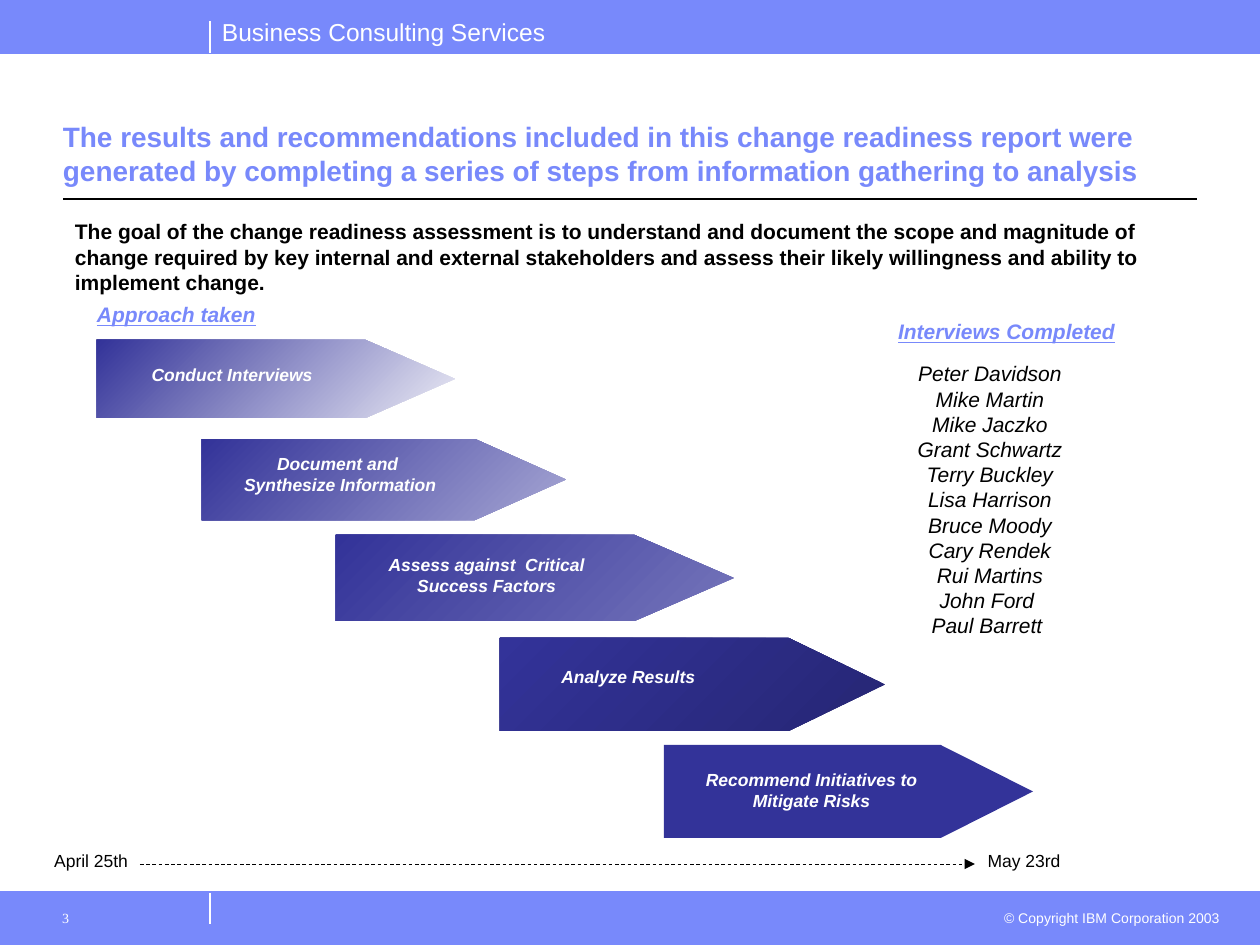
"""Builds the change readiness approach slide with its five steps and interview list."""
from dataclasses import dataclass

from lxml.etree import SubElement
from pptx import Presentation
from pptx.dml.color import RGBColor
from pptx.enum.dml import MSO_LINE
from pptx.enum.shapes import MSO_CONNECTOR, MSO_SHAPE
from pptx.enum.text import MSO_ANCHOR, MSO_AUTO_SIZE, PP_ALIGN
from pptx.oxml.ns import qn
from pptx.util import Pt

PX = 914400 / 126
WIDTH, HEIGHT, BAND = 1260, 945, 53
TIP_SHARE = 0.25
GRADIENT_ANGLE = 135


@dataclass
class Style:
    size: int
    color: str
    bold: bool = False
    italic: bool = False
    underline: bool = False
    font: str = "Arial"
    align: PP_ALIGN = PP_ALIGN.LEFT
    anchor: MSO_ANCHOR = MSO_ANCHOR.TOP
    margins: tuple = (13, 6, 13, 6)
    wrap: bool = True
    grow: bool = True
    spacing: float = 1.0


class Theme:
    periwinkle, navy, white, black = "7889FB", "333399", "FFFFFF", "000000"
    banner = Style(14, white, wrap=False)
    copyright = Style(8, white, align=PP_ALIGN.RIGHT)
    page = Style(8, white, font="Times New Roman", margins=(20, 9, 13, 6), grow=False)
    title = Style(16, periwinkle, bold=True, anchor=MSO_ANCHOR.BOTTOM,
                  margins=(0, 6, 0, 6), grow=False)
    goal = Style(12, black, bold=True)
    heading = Style(12, periwinkle, bold=True, italic=True, underline=True,
                    margins=(6, 6, 6, 6), grow=False, spacing=1.04)
    step = Style(10, white, bold=True, italic=True, align=PP_ALIGN.CENTER)
    names = Style(12, black, italic=True, align=PP_ALIGN.CENTER, wrap=False)
    date = Style(10, black, align=PP_ALIGN.CENTER, wrap=False)


INTERVIEWEES = [
    "Peter Davidson", "Mike Martin", "Mike Jaczko", "Grant Schwartz", "Terry Buckley",
    "Lisa Harrison", "Bruce Moody", "Cary Rendek", "Rui Martins", "John Ford ", "Paul Barrett ",
]

STEPS = [
    (["Conduct Interviews"], (97, 340, 358, 78), (91, 358, 282, 34), "EBEBF5"),
    (["Document and ", "Synthesize Information"],
     (202, 439, 364, 81), (222, 447, 236, 55), "A6A6D3"),
    (["Assess against  Critical Success Factors"],
     (336, 535, 398, 86), (354, 548, 265, 55), "7575BA"),
    (["Analyze Results "], (500, 638, 385, 93), (533, 660, 195, 34), "262674"),
    (["Recommend Initiatives to Mitigate Risks"],
     (664, 745, 369, 93), (679, 763, 265, 55), None),
]

TEXTS = [
    (["Business Consulting Services"], (209, 11, 380, 43), Theme.banner),
    (["© Copyright IBM Corporation 2003"], (987, 904, 246, 30), Theme.copyright),
    (["The results and recommendations included in this change readiness report were "
      "generated by completing a series of steps from information gathering to analysis"],
     (63, 77, 1134, 116), Theme.title),
    (["Approach taken"], (91, 295, 195, 76), Theme.heading),
    (["Interviews Completed"], (892, 312, 246, 76), Theme.heading),
    (INTERVIEWEES, (890, 355, 200, 315), Theme.names),
    (["The goal of the change readiness assessment is to understand and document the scope "
      "and magnitude of change required by key internal and external stakeholders and assess "
      "their likely willingness and ability to implement change."],
     (62, 213, 1134, 88), Theme.goal),
    (["April 25th"], (31, 844, 120, 34), Theme.date),
    (["May 23rd"], (964, 844, 120, 34), Theme.date),
    (["3"], (42, 901, 168, 44), Theme.page),
]

LINES = [
    ((210, BAND), (210, 21), Theme.white, 0.75),
    ((210, 924), (210, HEIGHT - BAND), Theme.white, 0.75),
    ((0, BAND), (WIDTH, BAND), Theme.periwinkle, 0.5),
    ((0, HEIGHT - BAND), (WIDTH, HEIGHT - BAND), Theme.periwinkle, 0.5),
    ((63, 199), (1197, 199), Theme.black, 0.75),
]
TIMELINE = ((140, 864), (975, 864), Theme.black, 0.5)


def emu(*lengths):
    return [round(length * PX) for length in lengths]


def rgb(color):
    return RGBColor.from_string(color)


def add_text(slide, lines, box, style):
    frame = slide.shapes.add_textbox(*emu(*box)).text_frame
    frame.word_wrap = style.wrap
    frame.auto_size = MSO_AUTO_SIZE.SHAPE_TO_FIT_TEXT if style.grow else MSO_AUTO_SIZE.NONE
    frame.vertical_anchor = style.anchor
    (frame.margin_left, frame.margin_top,
     frame.margin_right, frame.margin_bottom) = emu(*style.margins)
    frame.text = "\n".join(lines)
    for paragraph in frame.paragraphs:
        paragraph.alignment = style.align
        paragraph.line_spacing = style.spacing
        font = paragraph.font
        font.name, font.size = style.font, Pt(style.size)
        font.bold, font.italic, font.underline = style.bold, style.italic, style.underline
        font.color.rgb = rgb(style.color)


def add_line(slide, start, end, color, weight):
    connector = slide.shapes.add_connector(MSO_CONNECTOR.STRAIGHT, *emu(*start, *end))
    connector.line.color.rgb = rgb(color)
    connector.line.width = Pt(weight)
    SubElement(connector._element.spPr, qn("a:effectLst"))
    return connector


def add_band(slide, top):
    band = slide.shapes.add_shape(MSO_SHAPE.RECTANGLE, *emu(0, top, WIDTH, BAND))
    band.shadow.inherit = False
    band.fill.solid()
    band.fill.fore_color.rgb = rgb(Theme.periwinkle)
    band.line.color.rgb = rgb(Theme.periwinkle)
    band.line.width = Pt(0.75)


def add_step_arrow(slide, box, fade):
    left, top, width, height = box
    shoulder, right = left + width * (1 - TIP_SHARE), left + width
    middle, bottom = top + height / 2, top + height
    builder = slide.shapes.build_freeform(*emu(left, top))
    outline = [(shoulder, top), (right, middle), (shoulder, bottom), (left, bottom)]
    builder.add_line_segments([emu(*point) for point in outline], close=True)
    arrow = builder.convert_to_shape()
    arrow.shadow.inherit = False
    arrow.line.fill.background()
    if fade is None:
        arrow.fill.solid()
        arrow.fill.fore_color.rgb = rgb(Theme.navy)
        return
    arrow.fill.gradient()
    arrow.fill.gradient_angle = GRADIENT_ANGLE
    for stop, color in zip(arrow.fill.gradient_stops, (fade, Theme.navy)):
        stop.color.rgb = rgb(color)


def main():
    presentation = Presentation()
    presentation.slide_width, presentation.slide_height = emu(WIDTH, HEIGHT)
    slide = presentation.slides.add_slide(presentation.slide_layouts[6])
    for top in (HEIGHT - BAND, 0):
        add_band(slide, top)
    for line in LINES:
        add_line(slide, *line)
    for lines, arrow_box, label_box, fade in STEPS:
        add_step_arrow(slide, arrow_box, fade)
        add_text(slide, lines, label_box, Theme.step)
    for text in TEXTS:
        add_text(slide, *text)
    timeline = add_line(slide, *TIMELINE)
    timeline.line.dash_style = MSO_LINE.DASH
    SubElement(timeline.line._get_or_add_ln(), qn("a:tailEnd"), type="triangle")
    presentation.save("out.pptx")


if __name__ == "__main__":
    main()
